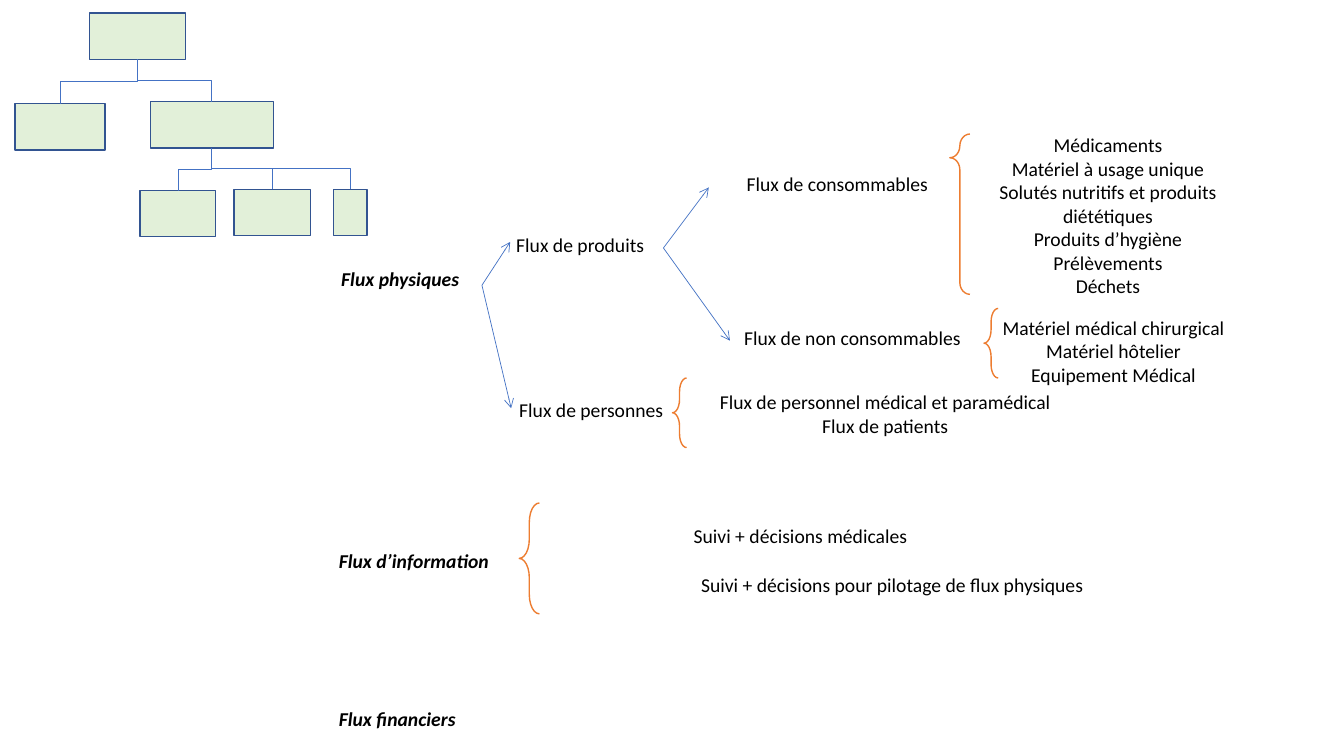
from dataclasses import dataclass
from typing import Optional

from lxml.etree import SubElement
from pptx import Presentation
from pptx.dml.color import RGBColor as Rgb
from pptx.enum.shapes import MSO_CONNECTOR as Link, MSO_SHAPE as Kind
from pptx.enum.text import MSO_AUTO_SIZE as Fit, PP_ALIGN as Align
from pptx.oxml.ns import qn
from pptx.util import Pt

PX = 9144  # 100 px to the inch
FONT = "Calibri"
HUES = {"text": "000000", "brace": "ED7D31", "link": "4472C4",
        "box": "E2F0D9", "edge": "325491"}


@dataclass
class Label:
    x: int
    y: int
    w: int
    h: int
    text: str
    strong: bool = False
    wrap: bool = False


@dataclass
class Brace:
    x: int
    y: int
    w: int
    h: int
    point: float = 0.5


@dataclass
class Arrow:
    x1: int
    y1: int
    x2: int
    y2: int


@dataclass
class Node:
    x: int
    y: int
    w: int
    parent: Optional[str] = None
    h: int = 46


LABELS = [
    # Main flows
    Label(316, 260, 162, 34, "Flux physiques", strong=True),
    Label(315, 540, 191, 34, "Flux d’information", strong=True),
    Label(315, 696, 158, 34, "Flux financiers", strong=True),
    # Branches
    Label(496, 226, 159, 34, "Flux de produits"),
    Label(496, 390, 181, 34, "Flux de personnes"),
    Label(720, 166, 221, 34, "Flux de consommables"),
    Label(716, 318, 259, 34, "Flux de non consommables"),
    # Details
    Label(976, 127, 246, 199,
          "Médicaments\nMatériel à usage unique\n"
          "Solutés nutritifs et produits diététiques\n"
          "Produits d’hygiène\nPrélèvements\nDéchets", wrap=True),
    Label(976, 308, 257, 81,
          "Matériel médical chirurgical\nMatériel hôtelier\nEquipement Médical"),
    Label(687, 382, 382, 57,
          "Flux de personnel médical et paramédical\nFlux de patients"),
    Label(664, 515, 260, 34, "Suivi + décisions médicales"),
    Label(664, 563, 442, 34, "Suivi + décisions pour pilotage de flux physiques"),
]
BRACES = [
    Brace(515, 499, 20, 110),
    Brace(667, 375, 14, 69),
    Brace(942, 133, 20, 159, 0.148),
    Brace(976, 306, 14, 69),
]
ARROWS = [
    Arrow(478, 283, 506, 240),
    Arrow(478, 283, 507, 405),
    Arrow(658, 246, 703, 186),
    Arrow(658, 246, 724, 338),
]
NODES = {
    "root": Node(89, 13, 95),
    "left": Node(15, 103, 89, "root"),
    "right": Node(149, 101, 122, "root"),
    "first": Node(139, 189, 75, "right"),
    "second": Node(232, 188, 76, "right"),
    "third": Node(331, 188, 33, "right"),
}


def hue(name: str) -> Rgb:
    return Rgb.from_string(HUES[name])


def put_label(shapes, item: Label) -> None:
    box = shapes.add_textbox(item.x * PX, item.y * PX, item.w * PX, item.h * PX)
    frame = box.text_frame
    frame.text = item.text
    frame.word_wrap = item.wrap
    frame.auto_size = Fit.SHAPE_TO_FIT_TEXT
    for para in frame.paragraphs:
        para.alignment = Align.CENTER
        for run in para.runs:
            font = run.font
            font.name, font.size = FONT, Pt(14)
            font.color.rgb = hue("text")
            if item.strong:
                font.bold = font.italic = True


def put_shape(shapes, kind, item, edge: str):
    shape = shapes.add_shape(kind, item.x * PX, item.y * PX, item.w * PX, item.h * PX)
    shape.shadow.inherit = False
    shape.line.color.rgb = hue(edge)
    shape.line.width = Pt(1)
    return shape


def put_brace(shapes, item: Brace) -> None:
    brace = put_shape(shapes, Kind.LEFT_BRACE, item, "brace")
    brace.fill.background()
    brace.adjustments[0] = 0.955
    brace.adjustments[1] = item.point


def put_node(shapes, item: Node) -> None:
    box = put_shape(shapes, Kind.RECTANGLE, item, "edge")
    box.fill.solid()
    box.fill.fore_color.rgb = hue("box")


def put_link(shapes, kind, x1: float, y1: float, x2: float, y2: float):
    ends = [round(v * PX) for v in (x1, y1, x2, y2)]
    link = shapes.add_connector(kind, *ends)
    link.line.color.rgb = hue("link")
    link.line.width = Pt(0.5)
    SubElement(link._element.spPr, qn("a:effectLst"))
    return link


def put_arrow(shapes, item: Arrow) -> None:
    link = put_link(shapes, Link.STRAIGHT, item.x1, item.y1, item.x2, item.y2)
    line = link._element.spPr.find(qn("a:ln"))
    SubElement(line, qn("a:tailEnd"), type="arrow")


def put_elbow(shapes, top: Node, low: Node) -> None:
    """Join bottom to top; a quarter turn makes the elbow leave downwards."""
    x1, y1 = top.x + top.w / 2, top.y + top.h
    x2, y2 = low.x + low.w / 2, low.y
    mid_x, mid_y = (x1 + x2) / 2, (y1 + y2) / 2
    side = 1 if x2 > x1 else -1
    dx, dy = side * (y2 - y1) / 2, abs(x2 - x1) / 2
    link = put_link(shapes, Link.ELBOW, mid_x + dx, mid_y - dy, mid_x - dx, mid_y + dy)
    turn = 270 if side > 0 else 90
    link._element.spPr.find(qn("a:xfrm")).set("rot", str(turn * 60000))


def main() -> None:
    deck = Presentation()
    deck.slide_width, deck.slide_height = 1333 * PX, 750 * PX
    shapes = deck.slides.add_slide(deck.slide_layouts[6]).shapes

    # Flow map
    for label in LABELS:
        put_label(shapes, label)
    for brace in BRACES:
        put_brace(shapes, brace)
    for arrow in ARROWS:
        put_arrow(shapes, arrow)

    # Small tree
    for node in NODES.values():
        put_node(shapes, node)
    for node in NODES.values():
        if node.parent:
            put_elbow(shapes, NODES[node.parent], node)

    deck.save("out.pptx")


if __name__ == "__main__":
    main()
